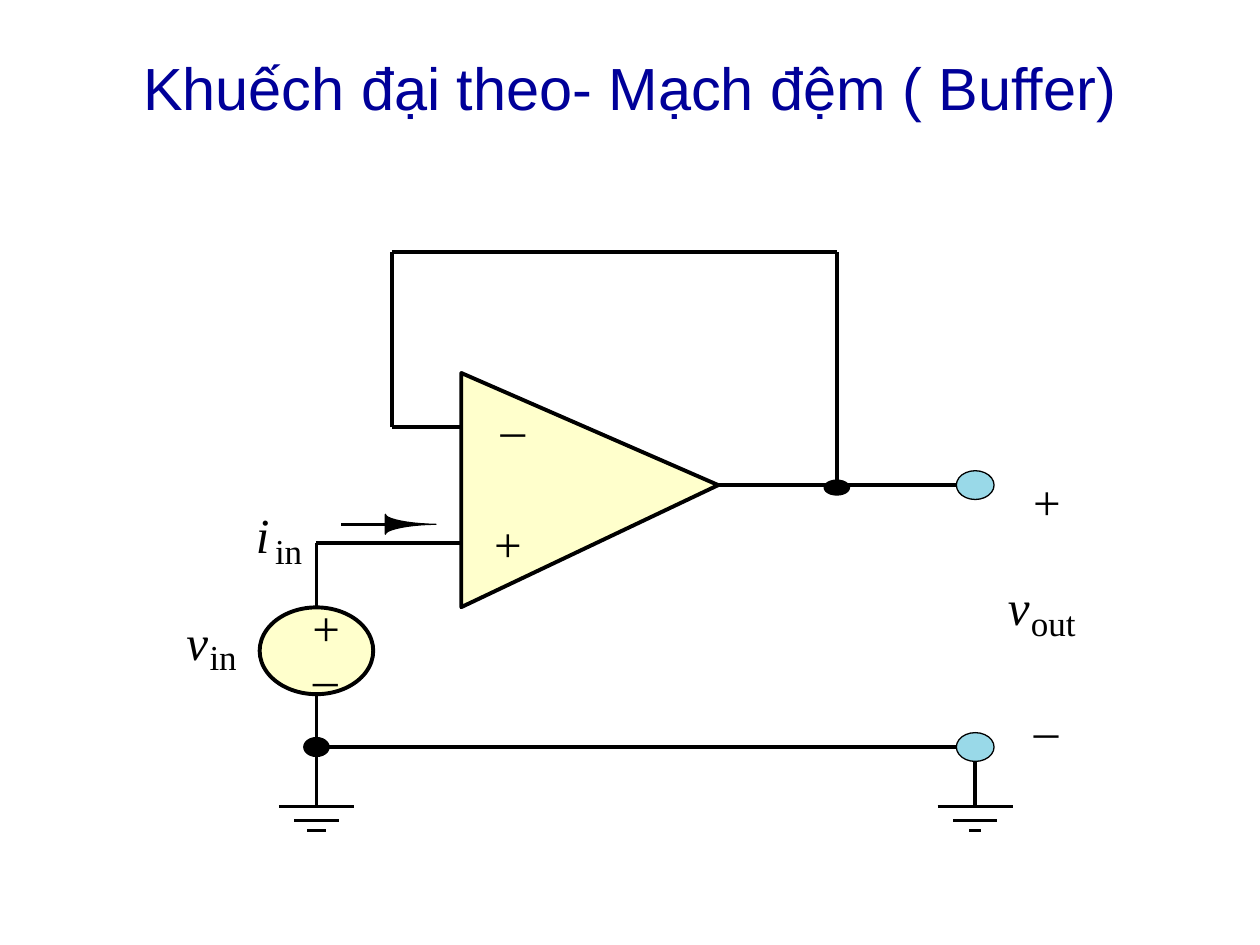
import itertools

import lxml.etree
import pptx
import pptx.dml.color
import pptx.enum.shapes
import pptx.enum.text
import pptx.oxml.ns
import pptx.util

Cm = pptx.util.Cm
Pt = pptx.util.Pt

COLORS = {"title": "000099", "ink": "000000", "body": "FFFFCC", "terminal": "99D9E8"}
HAIRLINE, OUTLINE = 0, 2.25

# Columns and rows of the circuit, in cm
SOURCE_X, FEEDBACK_X, AMP_X, TIP_X, NODE_X, OUTPUT_X = 6.38, 7.9, 9.3, 14.48, 16.87, 19.66
FEEDBACK_Y, INVERTING_Y, OUTPUT_Y, INPUT_Y = 5.08, 8.61, 9.78, 10.95
AMP_TOP, AMP_BOTTOM, SOURCE_Y, RAIL_Y, GROUND_Y = 7.52, 12.24, 13.12, 15.06, 16.26


def rgb(name):
    return pptx.dml.color.RGBColor.from_string(COLORS[name])


class CircuitSlide:
    """Holds the slide and the drawing style; all lengths are in cm."""

    title_font, label_font = "Arial", "Times New Roman"

    def __init__(self, presentation):
        self.slide = presentation.slides.add_slide(presentation.slide_layouts[5])
        self.shapes = self.slide.shapes

    def style_text(self, frame, text, font, size, color, italic=False):
        frame.text = text
        paragraph = frame.paragraphs[0]
        paragraph.alignment = pptx.enum.text.PP_ALIGN.CENTER
        run_font = paragraph.runs[0].font
        run_font.name, run_font.size, run_font.italic = font, Pt(size), italic
        run_font.color.rgb = rgb(color)

    def style_shape(self, shape, fill, width):
        shape.shadow.inherit = False
        shape.fill.solid()
        shape.fill.fore_color.rgb = rgb(fill)
        shape.line.color.rgb = rgb("ink")
        shape.line.width = Pt(width)

    def title(self, text):
        heading = self.shapes.title
        heading.left, heading.top = Cm(1.27), Cm(0.76)
        heading.width, heading.height = Cm(22.86), Cm(1.98)
        heading.text_frame.vertical_anchor = pptx.enum.text.MSO_ANCHOR.MIDDLE
        self.style_text(heading.text_frame, text, self.title_font, 34, "title")

    def label(self, text, left, top, width=0.52, size=28, italic=False):
        box = self.shapes.add_textbox(Cm(left), Cm(top), Cm(width), Cm(size * 0.0425))
        frame = box.text_frame
        frame.margin_left = frame.margin_right = frame.margin_top = frame.margin_bottom = 0
        frame.word_wrap = False
        frame.auto_size = pptx.enum.text.MSO_AUTO_SIZE.SHAPE_TO_FIT_TEXT
        self.style_text(frame, text, self.label_font, size, "ink", italic)

    def quantity(self, symbol, subscript, left, top, subscript_width):
        """Italic symbol with an upright subscript to its lower right."""
        self.label(symbol, left, top, 0.43, italic=True)
        self.label(subscript, left + 0.46, top + 0.5, subscript_width, size=20)

    def wire(self, *points):
        """Straight hairlines through the given points."""
        for start, end in itertools.pairwise(points):
            line = self.shapes.add_connector(
                pptx.enum.shapes.MSO_CONNECTOR.STRAIGHT, *map(Cm, start + end))
            line.line.color.rgb = rgb("ink")
            line.line.width = Pt(HAIRLINE)
            lxml.etree.SubElement(line._element.spPr, pptx.oxml.ns.qn("a:effectLst"))

    def oval(self, x, y, width, height, fill, line_width=HAIRLINE):
        """Ellipse centred on x, y."""
        shape = self.shapes.add_shape(
            pptx.enum.shapes.MSO_SHAPE.OVAL,
            Cm(x - width / 2), Cm(y - height / 2), Cm(width), Cm(height))
        self.style_shape(shape, fill, line_width)

    def polygon(self, points, fill, line_width=HAIRLINE):
        corners = [(Cm(x), Cm(y)) for x, y in points]
        builder = self.shapes.build_freeform(*corners[0])
        builder.add_line_segments(corners[1:], close=True)
        self.style_shape(builder.convert_to_shape(), fill, line_width)

    def arrow(self, start, neck, tip, y, half_height=0.2):
        """Line to the neck, then a long head with inward curved sides."""
        self.wire((start, y), (neck, y))
        steps = [i / 10 for i in range(11)]
        curve = [(neck + (tip - neck) * (1.5 * t * t - 0.5 * t ** 3),
                  half_height * ((1 - t) ** 3 + 1.5 * t * (1 - t) ** 2)) for t in steps]
        upper = [(x, y - rise) for x, rise in curve]
        lower = [(x, y + rise) for x, rise in reversed(curve[:-1])]
        self.polygon(upper + lower, "ink")

    def ground(self, x, widths):
        for drop, width in zip((0, 0.28, 0.48), widths):
            y = GROUND_Y + drop
            self.wire((x - width / 2, y), (x + width / 2, y))


def main():
    presentation = pptx.Presentation()
    presentation.slide_width, presentation.slide_height = Cm(25.4), Cm(19.05)
    circuit = CircuitSlide(presentation)
    circuit.title("Khuếch đại theo- Mạch đệm ( Buffer)")

    # Wires
    circuit.wire((AMP_X, INPUT_Y), (SOURCE_X, INPUT_Y), (SOURCE_X, GROUND_Y))
    circuit.wire((AMP_X, INVERTING_Y), (FEEDBACK_X, INVERTING_Y), (FEEDBACK_X, FEEDBACK_Y),
                 (NODE_X, FEEDBACK_Y), (NODE_X, OUTPUT_Y))
    circuit.wire((TIP_X, OUTPUT_Y), (OUTPUT_X, OUTPUT_Y))
    circuit.wire((SOURCE_X, RAIL_Y), (OUTPUT_X, RAIL_Y), (OUTPUT_X, GROUND_Y))
    circuit.ground(SOURCE_X, (1.52, 0.89, 0.38))
    circuit.ground(OUTPUT_X, (1.52, 0.89, 0.25))

    # Source, amplifier, nodes and terminals
    circuit.oval(SOURCE_X, SOURCE_Y, 2.29, 1.75, "body", OUTLINE)
    circuit.polygon([(TIP_X, OUTPUT_Y), (AMP_X, AMP_TOP), (AMP_X, AMP_BOTTOM)],
                    "body", OUTLINE)
    circuit.oval(NODE_X, OUTPUT_Y + 0.05, 0.51, 0.3, "ink")
    circuit.oval(SOURCE_X, RAIL_Y, 0.51, 0.38, "ink")
    for y in (OUTPUT_Y, RAIL_Y):
        circuit.oval(OUTPUT_X, y, 0.76, 0.58, "terminal")
    circuit.arrow(6.88, 7.77, 8.79, 10.57)

    # Polarity signs and quantities
    for sign, left, top in (("+", 6.3, 12.04), ("_", 6.3, 12.73),
                            ("–", 10.08, 8.03), ("+", 9.96, 10.36),
                            ("+", 20.83, 9.5), ("–", 20.83, 14.1)):
        circuit.label(sign, left, top)
    circuit.quantity("i", "in", 5.08, 10.17, 0.56)
    circuit.quantity("v", "in", 3.76, 12.32, 0.56)
    circuit.quantity("v", "out", 20.32, 11.63, 0.91)

    presentation.save("out.pptx")


if __name__ == "__main__":
    main()
